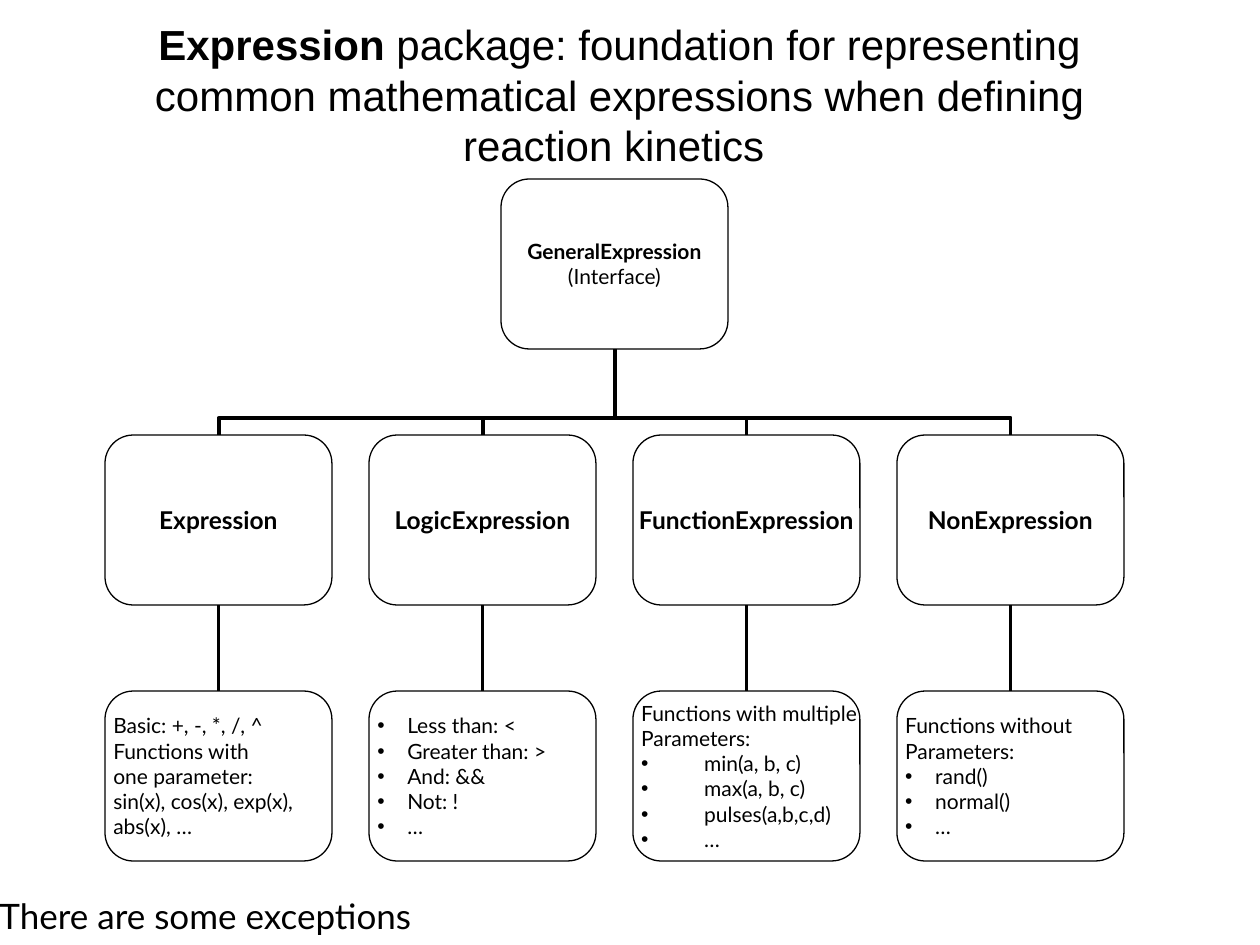
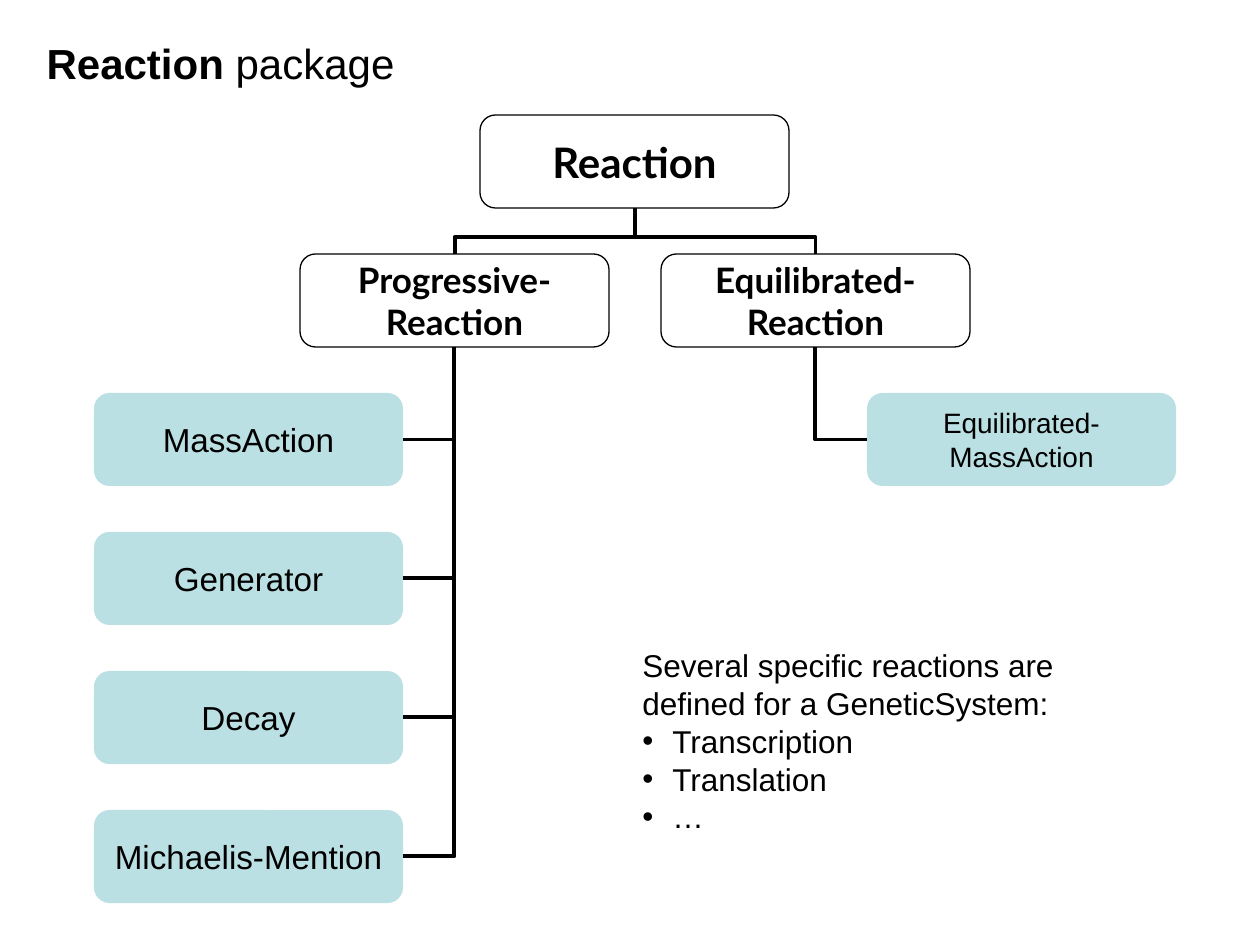
import lxml.etree
import pptx
import pptx.dml.color
import pptx.enum.shapes
import pptx.enum.text
import pptx.oxml.ns
import pptx.util

SCALE = 914400 / 126  # EMU in one px
BLACK, TEAL = "000000", "BBE0E3"
SANS, LATO = "Arial", "Lato"
LEFT, CENTER = pptx.enum.text.PP_ALIGN.LEFT, pptx.enum.text.PP_ALIGN.CENTER
STRAIGHT = pptx.enum.shapes.MSO_CONNECTOR.STRAIGHT
ELBOW = pptx.enum.shapes.MSO_CONNECTOR.ELBOW
TOP, LEFT_SIDE, BOTTOM, RIGHT_SIDE = range(4)


def px(count):
    return pptx.util.Emu(round(count * SCALE))


def color(code):
    return pptx.dml.color.RGBColor.from_string(code)


def style(run, size, font, bold=False):
    run.font.size = pptx.util.Pt(size)
    run.font.name = font
    run.font.bold = bold
    run.font.color.rgb = color(BLACK)


def bullet(par, hang):
    props = par._p.get_or_add_pPr()
    props.set("marL", str(px(hang)))
    props.set("indent", str(-px(hang)))
    for tag, name, value in (("a:buFont", "typeface", SANS), ("a:buChar", "char", "•")):
        lxml.etree.SubElement(props, pptx.oxml.ns.qn(tag)).set(name, value)


def write(frame, lines, size, font, bold=False, align=LEFT, points=(), hang=30):
    """Fill a frame with plain lines, followed by bulleted points."""
    for index, text in enumerate([*lines, *points]):
        par = frame.add_paragraph() if index else frame.paragraphs[0]
        par.text = text
        par.alignment = align
        if index >= len(lines):
            bullet(par, hang)
        for run in par.runs:
            style(run, size, font, bold)


def title(slide, strong, rest, left, top, width, height):
    holder = slide.shapes.title
    holder.left, holder.top = px(left), px(top)
    holder.width, holder.height = px(width), px(height)
    frame = holder.text_frame
    frame.word_wrap = True
    frame.auto_size = pptx.enum.text.MSO_AUTO_SIZE.NONE
    frame.vertical_anchor = pptx.enum.text.MSO_ANCHOR.MIDDLE
    write(frame, [strong], 24, SANS, True, CENTER)
    run = frame.paragraphs[0].add_run()
    run.text = rest
    style(run, 24, SANS)


def box(slide, left, top, size, fill=None):
    """Add a rounded box: filled without a line, or outlined only."""
    shape = slide.shapes.add_shape(
        pptx.enum.shapes.MSO_SHAPE.ROUNDED_RECTANGLE, px(left), px(top), *map(px, size))
    shape.shadow.inherit = False
    if fill:
        shape.fill.solid()
        shape.fill.fore_color.rgb = color(fill)
        shape.line.fill.background()
    else:
        shape.fill.background()
        shape.line.color.rgb = color(BLACK)
        shape.line.width = pptx.util.Pt(0.75)
    frame = shape.text_frame
    frame.margin_left = frame.margin_right = frame.margin_top = frame.margin_bottom = 0
    frame.word_wrap = False
    frame.vertical_anchor = pptx.enum.text.MSO_ANCHOR.MIDDLE
    return shape


def note(slide, left, top, width, height, wrap):
    frame = slide.shapes.add_textbox(*map(px, (left, top, width, height))).text_frame
    frame.word_wrap = wrap
    return frame


def spot(shape, side):
    """Give the middle of a side of a shape in EMU."""
    across, down = ((1, 0), (0, 1), (1, 2), (2, 1))[side]
    return shape.left + shape.width * across // 2, shape.top + shape.height * down // 2


def join(slide, kind, first, last):
    """Connect two (shape, side) pairs."""
    link = slide.shapes.add_connector(kind, *spot(*first), *spot(*last))
    link.line.color.rgb = color(BLACK)
    link.line.width = pptx.util.Pt(2.25)
    lxml.etree.SubElement(link._element.spPr, pptx.oxml.ns.qn("a:effectLst"))
    link.begin_connect(*first)
    link.end_connect(*last)
    return link


def fork(slide, root, kids, level):
    """Join kids to the root above them, turning at the given level."""
    for kid in kids:
        link = join(slide, ELBOW, (kid, TOP), (root, BOTTOM))
        (x, y), (root_x, root_y) = spot(kid, TOP), spot(root, BOTTOM)
        across, rise = root_x - x, y - root_y
        # The frame lies on its side, centred between both ends.
        link.left = (x + root_x - rise) // 2
        link.top = (y + root_y - abs(across)) // 2
        link.width, link.height = rise, abs(across)
        frame = link._element.spPr.find(pptx.oxml.ns.qn("a:xfrm"))
        frame.set("rot", str((90 if across > 0 else 270) * 60000))
        frame.set("flipH", str(int(across > 0)))
        frame.set("flipV", "1")
        guides = next(link._element.iter(pptx.oxml.ns.qn("a:avLst")))
        guide = lxml.etree.SubElement(guides, pptx.oxml.ns.qn("a:gd"))
        guide.set("name", "adj1")
        guide.set("fmla", f"val {round((y - px(level)) / rise * 100000)}")


def comb(slide, root, leaves, side):
    """Join leaves beside a trunk to the root with one turn each."""
    for leaf in leaves:
        link = join(slide, ELBOW, (leaf, side), (root, BOTTOM))
        next(link._element.iter(pptx.oxml.ns.qn("a:prstGeom"))).set("prst", "bentConnector2")


def draw_terms(slide):
    title(slide, "Expression", " package: foundation for representing common "
          "mathematical expressions when defining reaction kinetics ", 84, 0, 1071, 189)
    size, left, top, step, drop = (227, 170), 105, 179, 264, 256
    terms = [
        ("Expression", ["Basic: +, -, *, /, ^", "Functions with", "one parameter:",
                        "sin(x), cos(x), exp(x),", "abs(x), …"], [], 30),
        ("LogicExpression", [], ["Less than: <", "Greater than: >", "And: &&",
                                 "Not: !", "…"], 30),
        ("FunctionExpression", ["Functions with multiple", "Parameters:"],
         ["min(a, b, c)", "max(a, b, c)", "pulses(a,b,c,d)", "…"], 63),
        ("NonExpression", ["Functions without", "Parameters:"],
         ["rand()", "normal()", "…"], 30),
    ]
    root = box(slide, left + step * 3 // 2, top, size)
    write(root.text_frame, ["GeneralExpression", "(Interface)"], 12, LATO, True, CENTER)
    root.text_frame.paragraphs[1].runs[0].font.bold = False
    kids = []
    for index, (name, lines, points, hang) in enumerate(terms):
        kid = box(slide, left + step * index, top + drop, size)
        write(kid.text_frame, [name], 14, LATO, True, CENTER)
        leaf = box(slide, left + step * index, top + 2 * drop, size)
        write(leaf.text_frame, lines, 12, LATO, points=points, hang=hang)
        join(slide, STRAIGHT, (leaf, TOP), (kid, BOTTOM))
        kids.append(kid)
    fork(slide, root, kids, 418)
    write(note(slide, -13, 888, 479, 55, False), ["There are some exceptions"], 20, LATO)


def draw_types(slide):
    title(slide, "Reaction", " package", 0, 21, 441, 84)
    size, row, step = (309, 93), 393, 139

    def card(left, top, lines, points, font=LATO, fill=None):
        shape = box(slide, left, top, size, fill)
        write(shape.text_frame, lines, points, font, font == LATO, CENTER)
        return shape

    root = card(480, 115, ["Reaction"], 24)
    kids = [card(left, 254, [name, "Reaction"], 20)
            for left, name in ((300, "Progressive-"), (661, "Equilibrated-"))]
    names = ["MassAction", "Generator", "Decay", "Michaelis-Mention"]
    leaves = [card(94, row + step * index, [name], 19, SANS, TEAL)
              for index, name in enumerate(names)]
    twin = card(867, row, ["Equilibrated-", "MassAction"], 16, SANS, TEAL)
    fork(slide, root, kids, 237)
    comb(slide, kids[0], leaves, RIGHT_SIDE)
    comb(slide, kids[1], [twin], LEFT_SIDE)
    write(note(slide, 630, 640, 495, 202, True),
          ["Several specific reactions are defined for a GeneticSystem:"], 18, SANS,
          points=["Transcription", "Translation", "…"])


def main():
    deck = pptx.Presentation()
    deck.slide_width, deck.slide_height = px(1260), px(945)
    for draw in (draw_terms, draw_types):
        draw(deck.slides.add_slide(deck.slide_layouts[5]))
    deck.save("out.pptx")


if __name__ == "__main__":
    main()
